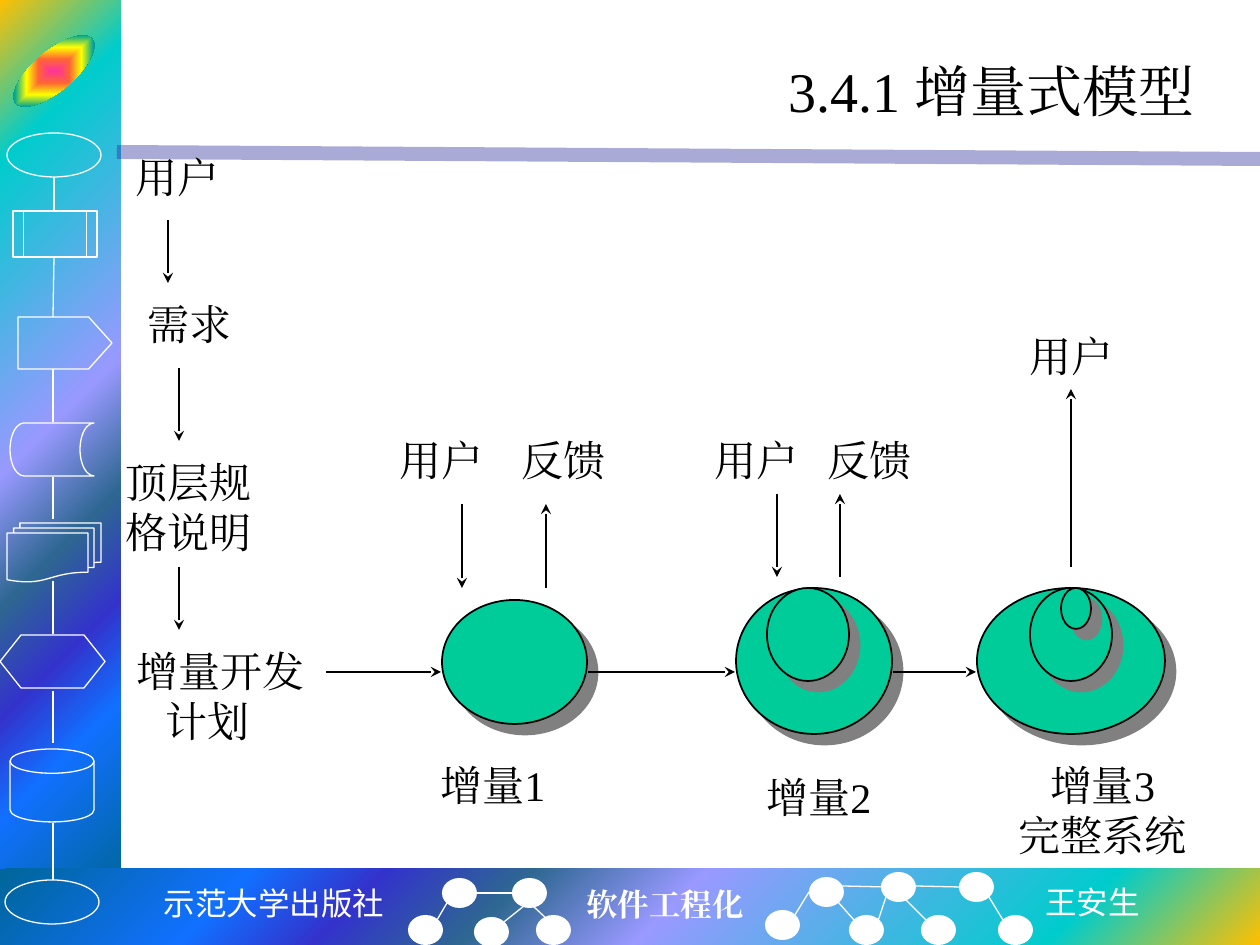
from lxml import etree
from pptx import Presentation
from pptx.dml.color import RGBColor
from pptx.enum import shapes, text
from pptx.oxml import ns, xmlchemy
from pptx.util import Pt

PX = 914400 // 126
HUE = {
    "white": "FFFFFF", "black": "000000", "green": "00CC99", "gray": "808080",
    "rule": "262699", "gold": "FFC000", "cyan": "00CCCC", "lilac": "9999FF",
    "slate": "2E6792", "indigo": "3333CC", "blue": "1170FF", "navy": "006699",
    "pink": "FF3399", "orange": "FF6633", "yellow": "FFFF00", "teal": "01A78F",
    "sky": "3366FF",
}
TIMES = "Times New Roman"
KIND = shapes.MSO_SHAPE
RIGHT = text.PP_ALIGN.RIGHT
MID = text.PP_ALIGN.CENTER

deck = Presentation()
deck.slide_width = 1260 * PX
deck.slide_height = 945 * PX
slide = deck.slides.add_slide(deck.slide_layouts[6])


def draw(kind, x, y, w, h, fill=None, edge=None, width=0.75):
    item = slide.shapes.add_shape(kind, x * PX, y * PX, w * PX, h * PX)
    item.shadow.inherit = False
    if fill:
        item.fill.solid()
        item.fill.fore_color.rgb = RGBColor.from_string(HUE[fill])
    else:
        item.fill.background()
    if edge:
        item.line.color.rgb = RGBColor.from_string(HUE[edge])
        item.line.width = Pt(width)
    else:
        item.line.fill.background()
    return item


def write(words, x, y, w, h, size=24, font=TIMES, hue="black", bold=False,
          align=text.PP_ALIGN.LEFT, anchor=text.MSO_ANCHOR.TOP, tab=0, indent=0):
    frame = slide.shapes.add_textbox(x * PX, y * PX, w * PX, h * PX).text_frame
    frame.word_wrap = True
    frame.vertical_anchor = anchor
    frame.text = words
    for para in frame.paragraphs:
        para.alignment = align
        run = para.runs[0]
        run.font.size = Pt(size)
        run.font.name = font
        run.font.bold = bold
        run.font.color.rgb = RGBColor.from_string(HUE[hue])
        etree.SubElement(run.font._element, ns.qn("a:ea"), typeface=font)
    props = frame.paragraphs[-1]._p.get_or_add_pPr()
    if indent:
        props.set("marL", str(indent * PX))
    if tab:
        stops = etree.SubElement(props, ns.qn("a:tabLst"))
        etree.SubElement(stops, ns.qn("a:tab"), pos=str(tab * PX), algn="l")


sea = [(0, "gold"), (16, "cyan"), (47, "lilac"), (60, "slate"),
       (71, "indigo"), (81, "blue"), (100, "navy")]
glow = [(0, "pink"), (25, "orange"), (50, "yellow"), (75, "teal"), (100, "sky")]
side = draw(KIND.RECTANGLE, 0, 0, 121, 893)
foot = draw(KIND.RECTANGLE, 0, 869, 1260, 76)
badge = draw(KIND.OVAL, 4, 51, 100, 40)
badge.rotation = -40
for item, stops, shade, rect in (
    (side, sea, "circle", (0, 0, 100, 100)),
    (foot, sea, "circle", (100, 100, 0, 0)),
    (badge, glow, "rect", (50, 50, 50, 50)),
):
    item.fill.gradient()
    grad = item._element.spPr.find(ns.qn("a:gradFill"))
    for child in list(grad):
        grad.remove(child)
    group = etree.SubElement(grad, ns.qn("a:gsLst"))
    for pos, hue in stops:
        stop = etree.SubElement(group, ns.qn("a:gs"), pos=str(pos * 1000))
        etree.SubElement(stop, ns.qn("a:srgbClr"), val=HUE[hue])
    focus = etree.SubElement(grad, ns.qn("a:path"), attrib={"path": shade})
    etree.SubElement(focus, ns.qn("a:fillToRect"),
                     attrib={key: str(val * 1000) for key, val in zip("ltrb", rect)})

for kind, x, y, w, h in (
    (KIND.OVAL, 7, 133, 94, 44),
    (KIND.FLOWCHART_PREDEFINED_PROCESS, 13, 211, 84, 46),
    (KIND.PENTAGON, 18, 317, 94, 52),
    (KIND.FLOWCHART_STORED_DATA, 10, 423, 84, 53),
    (KIND.FLOWCHART_MULTIDOCUMENT, 7, 523, 94, 59),
    (KIND.FLOWCHART_PREPARATION, 0, 635, 105, 53),
    (KIND.FLOWCHART_MAGNETIC_DISK, 10, 749, 84, 73),
    (KIND.OVAL, 5, 880, 94, 44),
):
    icon = draw(kind, x, y, w, h, edge="white")
    if kind == KIND.PENTAGON:
        icon.adjustments[0] = 0.45

for x, y in ((442, 878), (809, 877), (408, 915), (849, 915), (881, 872), (474, 917),
             (959, 872), (998, 915), (921, 915), (512, 878), (765, 910), (536, 915)):
    draw(KIND.OVAL, x, y, 35, 30, fill="white")

for x, y, w, h in ((442, 600, 145, 124), (736, 588, 156, 146), (767, 588, 82, 93),
                   (977, 588, 188, 146), (1030, 588, 82, 93), (1061, 588, 30, 41)):
    ball = draw(KIND.OVAL, x, y, w, h, fill="green", edge="black", width=1)
    glows = ball._element.spPr.find(ns.qn("a:effectLst"))
    shade = etree.SubElement(glows, ns.qn("a:outerShdw"), dist=str(Pt(8.5)),
                             dir="2700000", algn="ctr", rotWithShape="0")
    etree.SubElement(shade, ns.qn("a:srgbClr"), val=HUE["gray"])

rule = [(117, 152, 1260, 159)]
links = [
    (54, 177, 54, 211), (54, 258, 53, 317), (53, 369, 53, 422), (53, 477, 53, 519),
    (53, 581, 53, 634), (53, 691, 53, 743), (53, 823, 53, 880),
    (437, 920, 447, 903), (504, 922, 524, 906), (512, 893, 477, 893),
    (547, 919, 534, 907), (854, 920, 838, 902), (926, 920, 901, 895),
    (1003, 920, 989, 897), (878, 921, 886, 897), (915, 886, 959, 887),
    (795, 915, 809, 892), (842, 886, 886, 887),
]
flow = [
    (168, 220, 168, 283), (179, 368, 179, 441), (179, 567, 179, 630),
    (326, 672, 441, 672), (588, 672, 735, 672), (893, 672, 976, 672),
    (462, 504, 462, 588), (546, 588, 546, 504), (777, 494, 777, 577),
    (840, 577, 840, 494), (1071, 567, 1071, 389),
]
for group, hue, width in ((rule, "rule", 8), (links, "white", 0.75), (flow, "black", 1)):
    for ends in group:
        wire = slide.shapes.add_connector(shapes.MSO_CONNECTOR.STRAIGHT,
                                          *[end * PX for end in ends])
        wire.line.color.rgb = RGBColor.from_string(HUE[hue])
        wire.line.width = Pt(width)
        etree.SubElement(wire._element.spPr, ns.qn("a:effectLst"))
        pen = wire.line._get_or_add_ln()
        if group is flow:
            etree.SubElement(pen, ns.qn("a:tailEnd"), type="stealth")
        if group is rule:
            tint = pen.find(".//" + ns.qn("a:srgbClr"))
            etree.SubElement(tint, ns.qn("a:alpha"), val="39000")

write("3.4.1 增量式模型", 136, 32, 1071, 116, size=32, align=RIGHT,
      anchor=text.MSO_ANCHOR.MIDDLE)
write("示范大学出版社", 150, 878, 248, 50, size=18, font="DejaVu Sans Mono",
      hue="white", align=MID)
write("软件工程化", 574, 879, 186, 50, size=18, hue="white", bold=True)
write("王安生", 1033, 877, 122, 50, size=18, font="Noto Sans CJK SC", hue="white")
write("用户", 123, 145, 112, 63)
write("需求", 135, 292, 112, 63)
write("顶层规\n格说明", 113, 450, 153, 113)
write("增量开发\n计划", 124, 639, 195, 113, indent=29)
write("用户\t反馈", 387, 428, 236, 63, tab=122)
write("用户\t反馈", 702, 428, 224, 63, tab=113)
write("用户", 1017, 324, 112, 63)
write("增量1", 428, 753, 130, 63)
write("增量2", 754, 765, 130, 63)
write("增量3\n完整系统", 1005, 753, 195, 113, align=MID)

deck.save("out.pptx")
